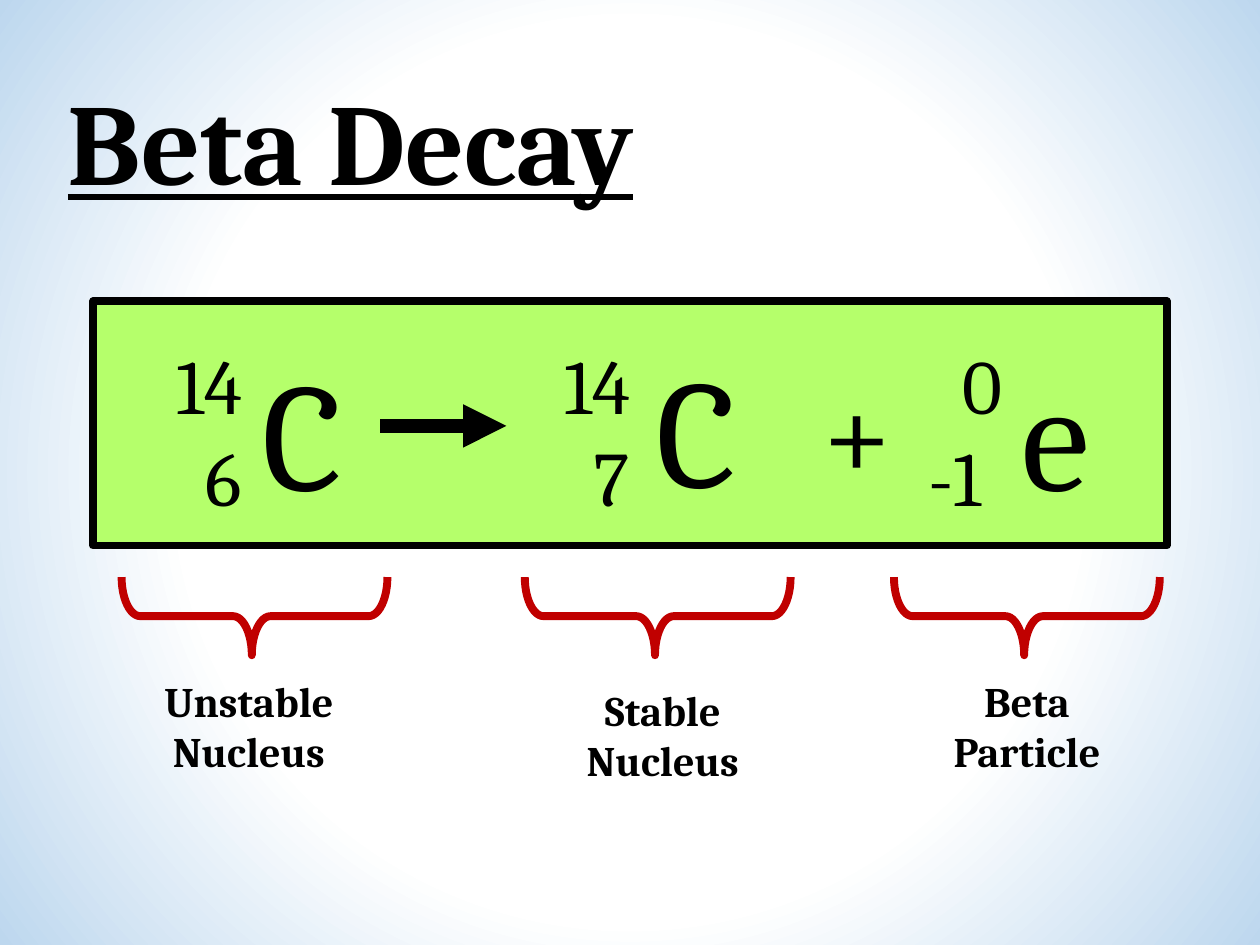
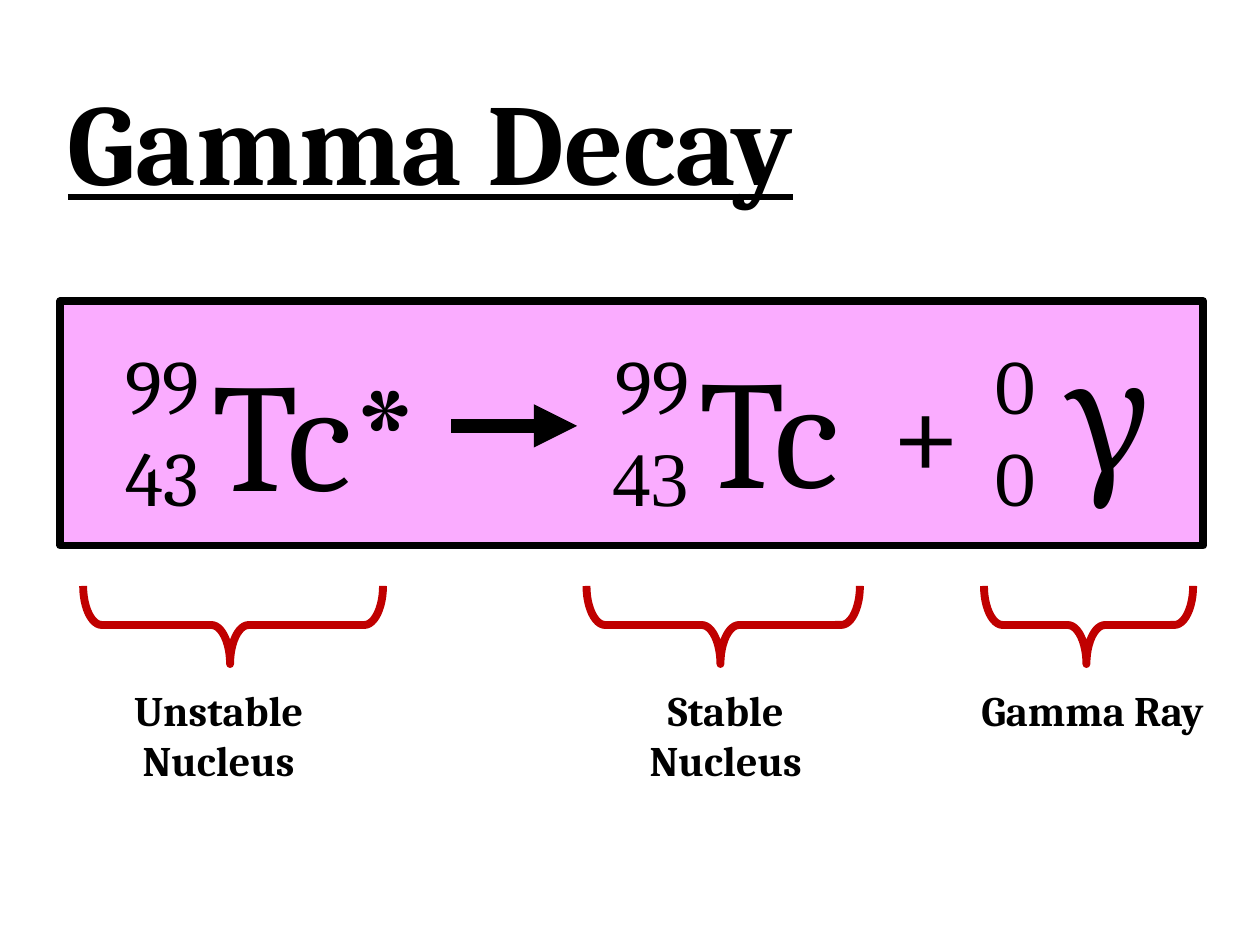
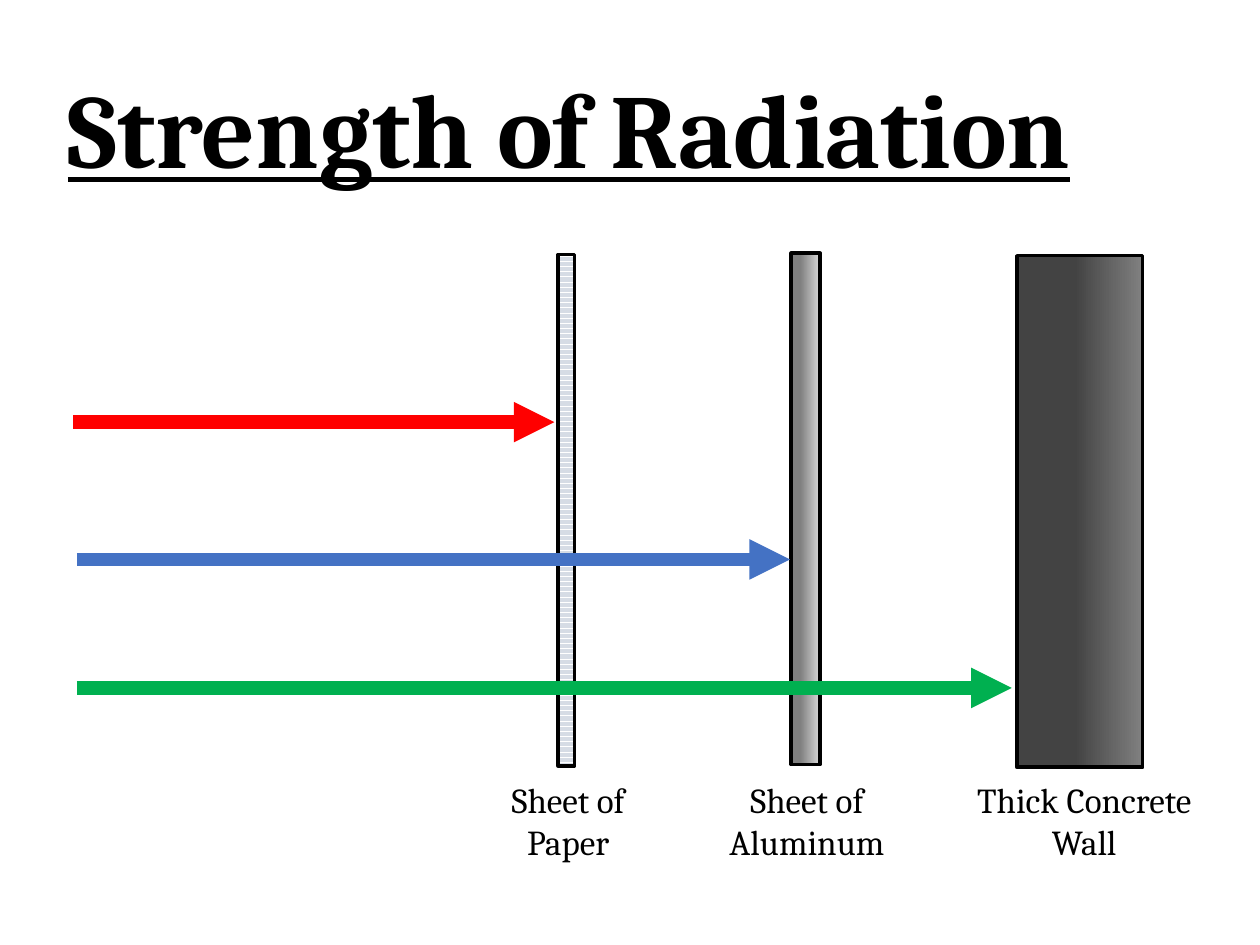
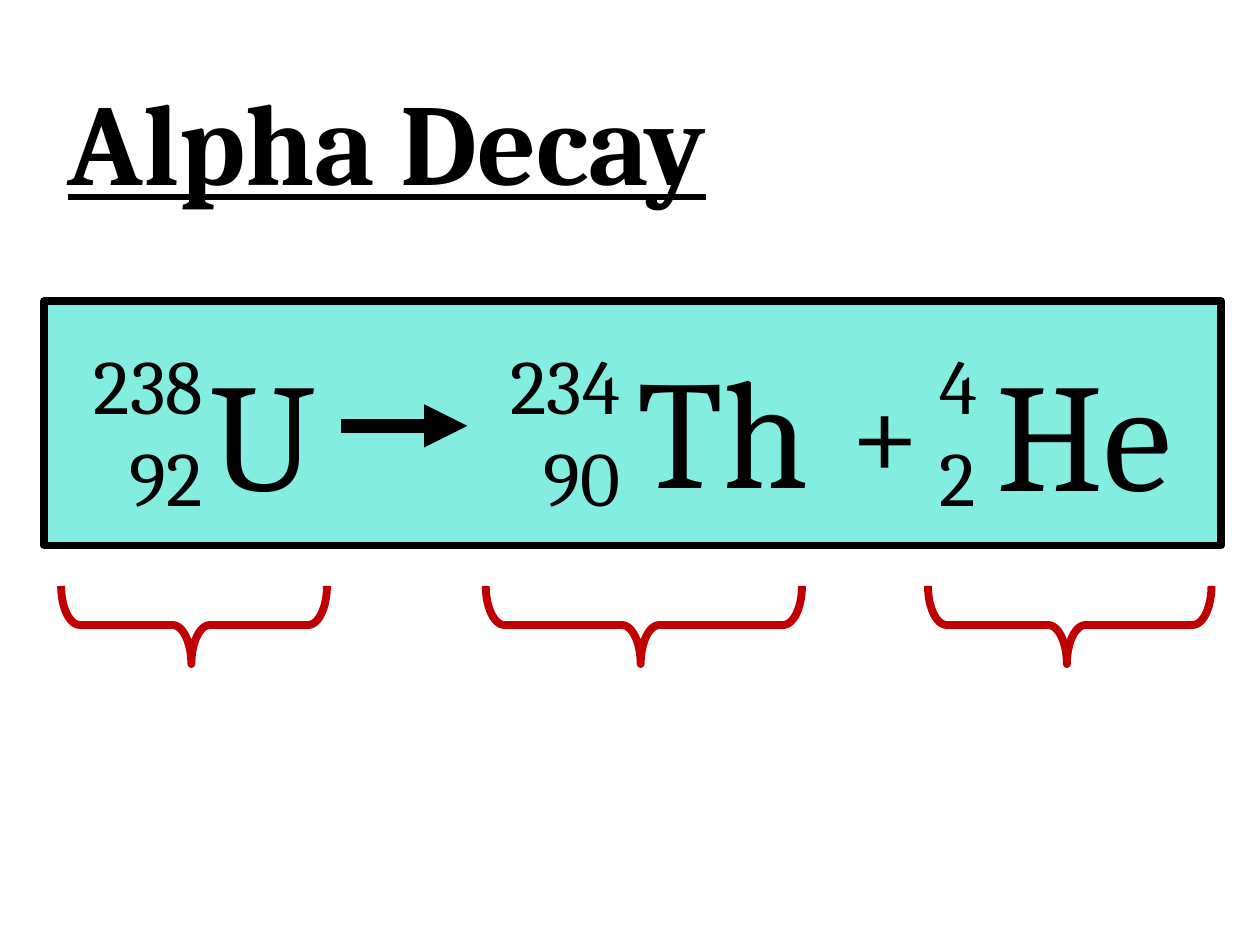
from dataclasses import dataclass

from lxml import etree
from pptx import Presentation
from pptx.dml.color import RGBColor
from pptx.enum.dml import MSO_PATTERN
from pptx.enum.shapes import MSO_CONNECTOR, MSO_SHAPE
from pptx.enum.text import MSO_AUTO_SIZE, PP_ALIGN
from pptx.oxml.ns import qn
from pptx.util import Inches, Pt

LEFT, CENTER, RIGHT = PP_ALIGN.LEFT, PP_ALIGN.CENTER, PP_ALIGN.RIGHT
GROW = MSO_AUTO_SIZE.SHAPE_TO_FIT_TEXT
RECTANGLE, BRACE = MSO_SHAPE.RECTANGLE, MSO_SHAPE.LEFT_BRACE
STRAIGHT = MSO_CONNECTOR.STRAIGHT
HORIZONTAL_BANDS = MSO_PATTERN.DARK_HORIZONTAL

COLUMNS, ROWS = 10, 7.5


@dataclass(frozen=True)
class Theme:
    font: str = "Cambria"
    alternate_font: str = "Times New Roman"
    ink: str = "000000"
    paper: str = "FFFFFF"
    sky: str = "BDD7EE"
    brace: str = "C00000"
    beta: str = "B5FF6B"
    gamma: str = "FAACFF"
    alpha: str = "83EEDF"
    sheet: str = "D6DCE5"
    steel: str = "808080"
    silver: str = "D9D9D9"
    concrete: str = "434343"
    alpha_ray: str = "FF0000"
    beta_ray: str = "4472C4"
    gamma_ray: str = "00B050"
    title: float = 66
    long_title: float = 60
    symbol: float = 88
    plus: float = 72
    numbers: float = 44
    label: float = 24
    caption: float = 20
    heavy_line: float = 4.5
    thin_line: float = 2
    reaction_arrow: float = 8.25
    ray: float = 7.75


THEME = Theme()


@dataclass(frozen=True)
class Term:
    symbol: str
    symbol_box: tuple
    numbers: str
    numbers_box: tuple
    brace_center: float
    brace_span: float
    numbers_align: int = RIGHT


@dataclass(frozen=True)
class Decay:
    title: str
    color: str
    frame_left: float
    frame_width: float
    arrow_left: float
    plus_left: float
    brace_row: float
    terms: tuple
    labels: tuple = ()


class Deck:
    def __init__(self, theme):
        self.theme = theme
        self.show = Presentation()
        self.show.slide_width, self.show.slide_height = Inches(10), Inches(7.5)
        self.slide = None

    def x(self, columns):
        return round(self.show.slide_width * columns / COLUMNS)

    def y(self, rows):
        return round(self.show.slide_height * rows / ROWS)

    def box(self, left, top, width, height):
        return self.x(left), self.y(top), self.x(width), self.y(height)

    def new_slide(self):
        self.slide = self.show.slides.add_slide(self.show.slide_layouts[6])
        fill = self.slide.background.fill
        fill.solid()
        fill.fore_color.rgb = RGBColor.from_string(self.theme.paper)

    def gradient(self, fill, owner, stops, radial=False):
        fill.gradient()
        gradient = owner.find(".//" + qn("a:gradFill"))
        for part in list(gradient):
            gradient.remove(part)
        stop_list = etree.SubElement(gradient, qn("a:gsLst"))
        for percent, color in stops:
            stop = etree.SubElement(stop_list, qn("a:gs"), pos=str(percent * 1000))
            etree.SubElement(stop, qn("a:srgbClr"), val=color)
        if radial:
            focus = etree.SubElement(gradient, qn("a:path"), path="circle")
            etree.SubElement(focus, qn("a:fillToRect"),
                             {side: "50000" for side in "ltrb"})
        else:
            etree.SubElement(gradient, qn("a:lin"), ang="0", scaled="0")

    def glow(self):
        paper, sky = self.theme.paper, self.theme.sky
        self.gradient(self.slide.background.fill, self.slide.element,
                      ((0, paper), (57, paper), (100, sky)), radial=True)

    def text(self, words, box, size, align=LEFT, bold=False):
        holder = self.slide.shapes.add_textbox(*self.box(*box))
        frame = holder.text_frame
        frame.word_wrap = True
        frame.text = words
        for paragraph in frame.paragraphs:
            paragraph.alignment = align
            for run in paragraph.runs:
                run.font.name = self.theme.font
                run.font.size = Pt(size)
                run.font.bold = bold
                run.font.color.rgb = RGBColor.from_string(self.theme.ink)
        return frame

    def title(self, words, top=0.72, size=THEME.title, spacing=0.8):
        heading = self.text(words, (0.44, top, 8.77, 1.08), size, bold=True)
        paragraph = heading.paragraphs[0]
        paragraph.line_spacing = spacing
        paragraph.runs[0].font.underline = True

    def label(self, words, left, top, width, height=0.91):
        frame = self.text(words, (left, top, width, height),
                          self.theme.label, CENTER, bold=True)
        frame.auto_size = GROW

    def outlined(self, kind, box, color, width):
        shape = self.slide.shapes.add_shape(kind, *self.box(*box))
        shape.shadow.inherit = False
        shape.line.color.rgb = RGBColor.from_string(color)
        shape.line.width = Pt(width)
        etree.SubElement(shape.element.spPr.find(qn("a:ln")), qn("a:round"))
        return shape

    def panel(self, left, width, color):
        panel = self.outlined(RECTANGLE, (left, 2.39, width, 1.94),
                              self.theme.ink, self.theme.heavy_line)
        panel.fill.solid()
        panel.fill.fore_color.rgb = RGBColor.from_string(color)

    def barrier(self, left, top, width):
        return self.outlined(RECTANGLE, (left, top, width, 4.06),
                             self.theme.ink, self.theme.thin_line)

    def brace(self, center, middle, span, depth=0.62):
        box = (center - depth / 2, middle - span / 2, depth, span)
        brace = self.outlined(BRACE, box, self.theme.brace, self.theme.heavy_line)
        brace.fill.background()
        brace.rotation = 270
        brace.adjustments[0], brace.adjustments[1] = 0.24, 0.49

    def arrow(self, start, end, row, color, width):
        arrow = self.slide.shapes.add_connector(
            STRAIGHT, self.x(start), self.y(row), self.x(end), self.y(row))
        arrow.line.color.rgb = RGBColor.from_string(color)
        arrow.line.width = Pt(width)
        properties = arrow.element.spPr
        etree.SubElement(properties.find(qn("a:ln")), qn("a:tailEnd"), type="triangle")
        etree.SubElement(properties, qn("a:effectLst"))

    def term(self, term):
        left, top, width, height = term.symbol_box
        self.text(term.symbol, (left, top, width, height), self.theme.symbol, CENTER)
        left, width = term.numbers_box
        return self.text(term.numbers, (left, 2.63, width, 1.22),
                         self.theme.numbers, term.numbers_align)

    def decay(self, decay):
        self.new_slide()
        self.panel(decay.frame_left, decay.frame_width, decay.color)
        self.title(decay.title)
        parent, daughter, emitted = decay.terms
        self.term(parent)
        self.arrow(decay.arrow_left, decay.arrow_left + 1, 3.38,
                   self.theme.ink, self.theme.reaction_arrow)
        daughter_numbers = self.term(daughter)
        self.text("+", (decay.plus_left, 2.75, 0.61, 1.1), self.theme.plus, CENTER)
        emitted_numbers = self.term(emitted)
        for label in decay.labels:
            self.label(*label)
        for term in decay.terms:
            self.brace(term.brace_center, decay.brace_row, term.brace_span)
        return daughter_numbers, emitted_numbers


BETA = Decay(
    "Beta Decay", THEME.beta, 0.74, 8.52, 3.02, 6.43, 4.89,
    (Term("C", (1.63, 2.63, 1.54, 1.1), "14\n6", (0.52, 1.5), 2.02, 2.11),
     Term("C", (4.69, 2.61, 1.67, 1.1), "14\n7", (3.43, 1.67), 5.22, 2.11),
     Term("e", (7.7, 2.63, 1.36, 1.1), "0\n-1", (6.87, 1.18), 8.15, 2.11)),
    (("Unstable Nucleus", 1.17, 5.31, 1.61),
     ("Stable Nucleus", 4.25, 5.38, 2.02),
     ("Beta Particle", 7.14, 5.31, 2.02)))

GAMMA = Decay(
    "Gamma Decay", THEME.gamma, 0.48, 9.07, 3.58, 6.98, 4.96,
    (Term("Tc*", (1.48, 2.63, 2.05, 1.1), "99\n43", (0.66, 1.02), 1.85, 2.38),
     Term("Tc", (4.98, 2.61, 2.26, 1.1), "99\v43", (4.67, 0.9), 5.74, 2.17),
     Term("γ", (7.84, 2.48, 1.91, 1.52), "0\n0", (7.8, 0.71), 8.64, 1.66, LEFT)),
    (("Unstable Nucleus", 0.78, 5.38, 1.91),
     ("Stable Nucleus", 4.75, 5.38, 2.02),
     ("Gamma Ray", 7.66, 5.38, 2.02, 0.5)))

ALPHA = Decay(
    "Alpha Decay", THEME.alpha, 0.35, 9.34, 2.71, 6.65, 4.96,
    (Term("U", (1.32, 2.63, 1.54, 1.1), "238\n92", (0.21, 1.5), 1.54, 2.11),
     Term("Th", (4.61, 2.61, 2.26, 1.1), "234\n90", (3.35, 1.67), 5.11, 2.51),
     Term("He", (7.65, 2.63, 1.91, 1.1), "4\n2", (7.36, 0.71), 8.49, 2.25, LEFT)))

RAYS = ((0.58, 4.4, 3.35, THEME.alpha_ray),
        (0.61, 8.03, 5.46, THEME.gamma_ray),
        (0.61, 6.27, 4.44, THEME.beta_ray))

CAPTIONS = (("Sheet of Paper", 3.88, 1.26, 0.93),
            ("Sheet of Aluminum", 5.59, 1.63, 0.42),
            ("Thick Concrete Wall", 7.65, 1.91, 0.42))


def beta_slide(deck):
    _, electron_numbers = deck.decay(BETA)
    deck.glow()
    charge = electron_numbers.paragraphs[1]
    charge.alignment = LEFT
    charge._p.get_or_add_pPr().set("marL", str(deck.x(0.4)))


def gamma_slide(deck):
    technetium_numbers, _ = deck.decay(GAMMA)
    technetium_numbers.paragraphs[0].runs[1].font.name = deck.theme.alternate_font


def strength_slide(deck):
    theme = deck.theme
    deck.new_slide()
    paper = deck.barrier(4.43, 2.02, 0.13)
    paper.fill.patterned()
    paper.fill.pattern = HORIZONTAL_BANDS
    paper.fill.fore_color.rgb = RGBColor.from_string(theme.sheet)
    paper.fill.back_color.rgb = RGBColor.from_string(theme.paper)
    aluminum = deck.barrier(6.28, 2.01, 0.23)
    deck.gradient(aluminum.fill, aluminum.element,
                  ((0, theme.steel), (32, theme.steel), (100, theme.silver)))
    wall = deck.barrier(8.07, 2.03, 1)
    deck.gradient(wall.fill, wall.element,
                  ((0, theme.concrete), (46, theme.concrete), (100, theme.steel)))
    for ray in RAYS:
        deck.arrow(*ray, theme.ray)
    for words, left, width, height in CAPTIONS:
        deck.text(words, (left, 6.13, width, height), theme.caption, CENTER)
    deck.title("Strength of Radiation", 0.57, theme.long_title, 0.9)


def main():
    deck = Deck(THEME)
    beta_slide(deck)
    gamma_slide(deck)
    strength_slide(deck)
    deck.decay(ALPHA)
    deck.show.save("out.pptx")


if __name__ == "__main__":
    main()
